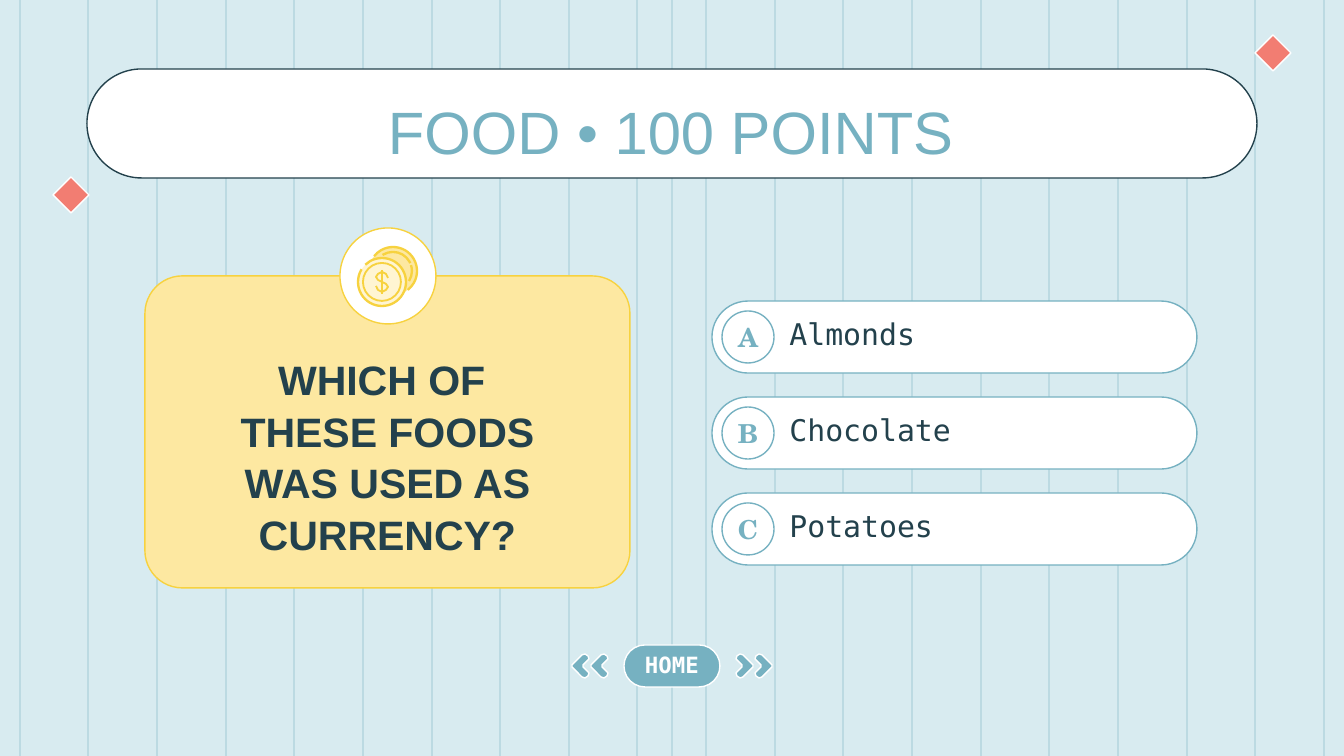
"""Build a quiz slide with one question, three answers and navigation buttons."""
import lxml.etree
import pptx
import pptx.dml.color
import pptx.enum.shapes
import pptx.enum.text
import pptx.oxml.ns
import pptx.util

SCALE = 914400 / 134.4
WIDTH, HEIGHT = 1344, 756
SHAPES = pptx.enum.shapes.MSO_SHAPE
ALIGN = pptx.enum.text.PP_ALIGN
ANCHOR = pptx.enum.text.MSO_ANCHOR

WHITE, PALE, STRIPE = "FFFFFF", "D8EBF0", "BCDAE2"
BLUE, DARK, CORAL = "76B1C1", "23414C", "F27D72"
GOLD, YELLOW, CREAM = "F7D23F", "FDE8A1", "FFF5D2"
SANS, MONO, SERIF = "Arial", "DejaVu Sans Mono", "TeX Gyre Schola"


def px(length):
    return pptx.util.Emu(round(length * SCALE))


def color(value):
    return pptx.dml.color.RGBColor.from_string(value)


def write(shape, text, *, font, size, ink, bold=False, align=ALIGN.CENTER,
          anchor=ANCHOR.MIDDLE, insets=(13, 13, 13, 13), spacing=1.0):
    frame = shape.text_frame
    frame.word_wrap = True
    frame.vertical_anchor = anchor
    (frame.margin_left, frame.margin_top,
     frame.margin_right, frame.margin_bottom) = map(px, insets)
    frame.text = text
    for paragraph in frame.paragraphs:
        paragraph.alignment = align
        paragraph.line_spacing = spacing
        for run in paragraph.runs:
            run.font.name = font
            run.font.size = pptx.util.Pt(size)
            run.font.bold = bold
            run.font.color.rgb = color(ink)


class Deck:
    """Hold the slide and the shared drawing style."""

    def __init__(self):
        self.presentation = pptx.Presentation()
        self.presentation.slide_width = px(WIDTH)
        self.presentation.slide_height = px(HEIGHT)
        self.slide = self.presentation.slides.add_slide(self.presentation.slide_layouts[6])
        self.slide.background.fill.solid()
        self.slide.background.fill.fore_color.rgb = color(PALE)

    def paint(self, shape, fill, line, width=0.75):
        shape.shadow.inherit = False
        if fill:
            shape.fill.solid()
            shape.fill.fore_color.rgb = color(fill)
        else:
            shape.fill.background()
        if line:
            shape.line.color.rgb = color(line)
            shape.line.width = pptx.util.Pt(width)
        else:
            shape.line.fill.background()
        return shape

    def shape(self, kind, left, top, width, height, fill, line, adjust=(), weight=0.75):
        shape = self.slide.shapes.add_shape(kind, px(left), px(top), px(width), px(height))
        for index, value in enumerate(adjust):
            shape.adjustments[index] = value
        return self.paint(shape, fill, line, weight)

    def pill(self, left, top, width, height, fill, line, radius=0.5):
        return self.shape(SHAPES.ROUNDED_RECTANGLE, left, top, width, height,
                          fill, line, [radius])

    def circle(self, x, y, radius, fill, line, weight=0.75):
        return self.shape(SHAPES.OVAL, x - radius, y - radius, 2 * radius, 2 * radius,
                          fill, line, weight=weight)

    def arc(self, x, y, radius, start, end, line, weight):
        angles = [start * 0.6, end * 0.6]
        return self.shape(SHAPES.ARC, x - radius, y - radius, 2 * radius, 2 * radius,
                          None, line, angles, weight)

    def line(self, x1, y1, x2, y2, ink, width=0.75):
        connector = self.slide.shapes.add_connector(
            pptx.enum.shapes.MSO_CONNECTOR.STRAIGHT, px(x1), px(y1), px(x2), px(y2))
        connector.line.color.rgb = color(ink)
        connector.line.width = pptx.util.Pt(width)
        properties = connector._element.spPr
        lxml.etree.SubElement(properties, pptx.oxml.ns.qn("a:effectLst"))

    def outline(self, points, fill, line, width=0.75, close=True):
        builder = self.slide.shapes.build_freeform(*points[0], scale=SCALE)
        builder.add_line_segments(points[1:], close=close)
        return self.paint(builder.convert_to_shape(), fill, line, width)

    def text_box(self, left, top, width, height, text, **style):
        box = self.slide.shapes.add_textbox(px(left), px(top), px(width), px(height))
        write(box, text, **style)


def draw_background(deck):
    deck.line(672, 0, 672, HEIGHT, STRIPE)
    for index in range(20):
        x = round(19.6 + 68.65 * index)
        deck.line(x, 0, x, HEIGHT, STRIPE)


def draw_title(deck):
    deck.pill(87, 69, 1170, 109, WHITE, DARK)
    for left, top in [(53, 177), (1255, 35)]:
        deck.shape(SHAPES.DIAMOND, left, top, 36, 36, CORAL, WHITE)
    deck.text_box(176, 75, 990, 87, "FOOD • 100 POINTS", font=SANS, size=32, ink=BLUE,
                  anchor=ANCHOR.TOP, insets=(13, 20, 13, 13))


def draw_question(deck):
    card = deck.pill(145, 276, 485, 312, YELLOW, GOLD, 0.12)
    write(card, "WHICH OF \vTHESE FOODS WAS USED AS CURRENCY?", font=SANS, size=22,
          ink=DARK, bold=True, insets=(40, 60, 40, 13), spacing=1.05)
    deck.circle(388, 276, 48, WHITE, GOLD)


def draw_answers(deck):
    for index, answer in enumerate(["Almonds", "Chocolate", "Potatoes"]):
        top = 301 + 96 * index
        bar = deck.pill(712, top, 485, 72, WHITE, BLUE)
        write(bar, answer, font=MONO, size=16, ink=DARK, align=ALIGN.LEFT,
              insets=(67, 7, 13, 13))
        badge = deck.circle(748, top + 36, 26, WHITE, BLUE)
        write(badge, "ABC"[index], font=SERIF, size=14, ink=BLUE, bold=True,
              insets=(0, 13, 0, 13))


def draw_navigation(deck):
    home = deck.pill(624, 645, 96, 42, BLUE, WHITE)
    write(home, "HOME", font=MONO, size=12, ink=WHITE, bold=True, insets=(13, 11, 13, 13))
    upper = [(5, 0), (2, 2), (1, 5), (3, 7), (7, 11)]
    tip = [(8, 23), (18, 13), (18, 11), (8, 1)]
    chevron = upper + [(x, 24 - y) for x, y in reversed(upper)] + tip
    for left in (735, 754):
        points = [(left + x, 654 + y) for x, y in chevron]
        deck.outline(points, BLUE, WHITE)
        deck.outline([(WIDTH - x, y) for x, y in points], BLUE, WHITE)


def draw_coins(deck):
    deck.circle(393, 271, 24, YELLOW, None)
    for radius, start, end in [(24, 218, 52), (19, 237, 336), (19, 342, 32)]:
        deck.arc(393, 271, radius, start, end, GOLD, 1.25)
    deck.circle(382, 282, 24, CREAM, None)
    deck.arc(382, 282, 24, 226, 212, GOLD, 1.25)
    deck.circle(382, 282, 19, None, GOLD, 1)
    half = [(6, -4), (4, -8), (0, -10), (-4, -8), (-6, -5), (-4, -2)]
    curve = half + [(0, 0)] + [(-x, -y) for x, y in reversed(half)]
    deck.outline([(382 + x, 282 + y) for x, y in curve], None, GOLD, 1, close=False)
    deck.line(382, 270, 382, 294, GOLD, 1)


def main():
    deck = Deck()
    draw_background(deck)
    draw_title(deck)
    draw_question(deck)
    draw_answers(deck)
    draw_navigation(deck)
    draw_coins(deck)
    deck.presentation.save("out.pptx")


if __name__ == "__main__":
    main()
